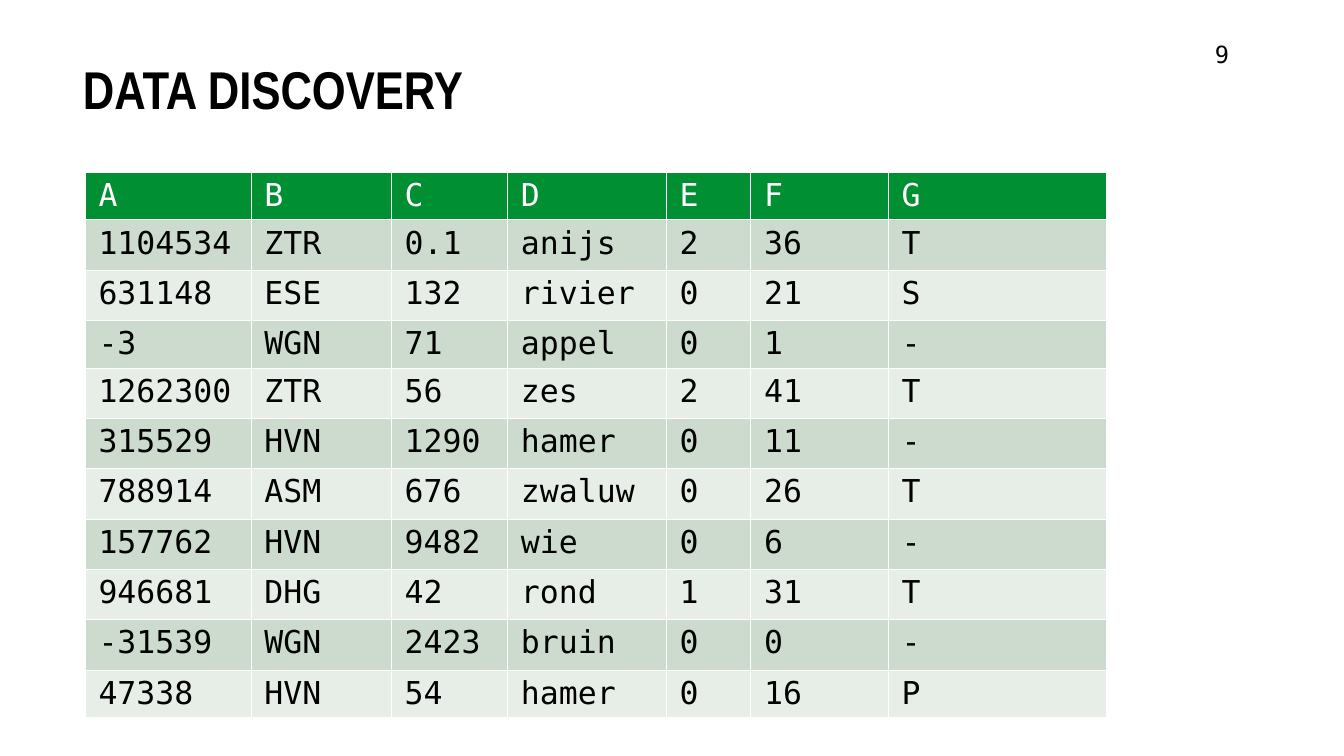
from lxml import etree
from pptx import Presentation
from pptx.dml.color import RGBColor
from pptx.enum.text import MSO_ANCHOR
from pptx.oxml.ns import qn
from pptx.util import Pt

PX = 9144  # 100 px to the inch
TOP = MSO_ANCHOR.TOP
TITLE_FONT = "Arial Narrow"
BODY_FONT = "DejaVu Sans Mono"
BLACK, WHITE, GREEN = "000000", "FFFFFF", "008F33"
BANDS = ["CCDBCE", "E7EEE8"]

COLUMN_WIDTHS = [234, 198, 164, 224, 119, 194, 308]
SHORT_ROW, TALL_ROW = 65, 71
SHORT_ROWS = {0, 3, 10}
RECORDS = [
    ["A", "B", "C", "D", "E", "F", "G"],
    ["1104534", "ZTR", "0.1", "anijs", "2", "36", "T"],
    ["631148", "ESE", "132", "rivier", "0", "21", "S"],
    ["-3", "WGN", "71", "appel", "0", "1", "-"],
    ["1262300", "ZTR", "56", "zes", "2", "41", "T"],
    ["315529", "HVN", "1290", "hamer", "0", "11", "-"],
    ["788914", "ASM", "676", "zwaluw", "0", "26", "T"],
    ["157762", "HVN", "9482", "wie", "0", "6", "-"],
    ["946681", "DHG", "42", "rond", "1", "31", "T"],
    ["-31539", "WGN", "2423", "bruin", "0", "0", "-"],
    ["47338", "HVN", "54", "hamer", "0", "16", "P"],
]


def px(length):
    return length * PX


def color(value):
    return RGBColor.from_string(value)


def write_text(frame, text, size, font=BODY_FONT, fill=BLACK, bold=False,
               line_spacing=None):
    frame.word_wrap = True
    paragraph = frame.paragraphs[0]
    if line_spacing:
        paragraph.line_spacing = line_spacing
    run = paragraph.add_run()
    run.text = text
    run.font.size = Pt(size)
    run.font.name = font
    run.font.bold = bold
    run.font.color.rgb = color(fill)


def add_text_box(slide, box, text, **text_format):
    frame = slide.shapes.add_textbox(*map(px, box)).text_frame
    frame.vertical_anchor = TOP
    frame.margin_left = frame.margin_right = px(10)
    frame.margin_top = frame.margin_bottom = px(5)
    write_text(frame, text, **text_format)


def add_borders(cell, line_color, width):
    properties = cell._tc.get_or_add_tcPr()
    for side in ("a:lnL", "a:lnR", "a:lnT", "a:lnB"):
        line = etree.SubElement(properties, qn(side), w=str(Pt(width)))
        fill = etree.SubElement(line, qn("a:solidFill"))
        etree.SubElement(fill, qn("a:srgbClr"), val=line_color)


def format_cell(cell, text, fill, text_color):
    cell.margin_left = cell.margin_right = px(19)
    cell.margin_top = cell.margin_bottom = px(7)
    cell.vertical_anchor = TOP
    add_borders(cell, WHITE, 1)
    cell.fill.solid()
    cell.fill.fore_color.rgb = color(fill)
    write_text(cell.text_frame, text, 32, fill=text_color)


def add_records_table(slide, left, top):
    heights = [SHORT_ROW if index in SHORT_ROWS else TALL_ROW
               for index in range(len(RECORDS))]
    frame = slide.shapes.add_table(
        len(RECORDS), len(COLUMN_WIDTHS), px(left), px(top),
        px(sum(COLUMN_WIDTHS)), px(sum(heights)))
    table = frame.table
    for column, width in zip(table.columns, COLUMN_WIDTHS):
        column.width = px(width)
    for index, (row, record) in enumerate(zip(table.rows, RECORDS)):
        row.height = px(heights[index])
        # Green header, then alternating bands
        fill = BANDS[(index - 1) % 2] if index else GREEN
        text_color = BLACK if index else WHITE
        for cell, text in zip(row.cells, record):
            format_cell(cell, text, fill, text_color)


def build_slide(presentation):
    slide = presentation.slides.add_slide(presentation.slide_layouts[6])
    slide.background.fill.solid()
    slide.background.fill.fore_color.rgb = color(WHITE)
    # Title and page number
    add_text_box(slide, (107, 92, 1409, 147), "DATA DISCOVERY", size=54,
                 font=TITLE_FONT, bold=True, line_spacing=0.8)
    add_text_box(slide, (1704, 52, 192, 78), "9", size=24)
    # Records
    add_records_table(slide, 120, 243)


def main():
    presentation = Presentation()
    presentation.slide_width = px(1896)
    presentation.slide_height = px(1067)
    build_slide(presentation)
    presentation.save("out.pptx")


if __name__ == "__main__":
    main()
